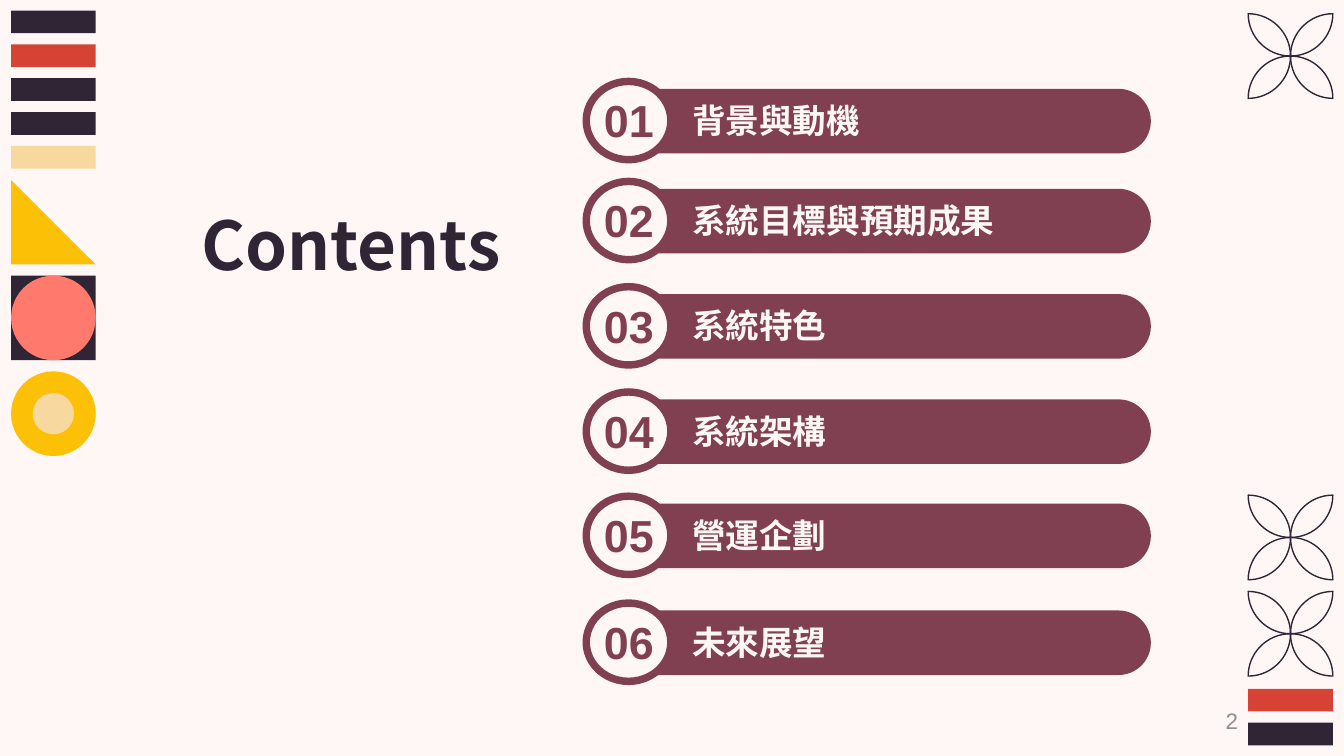
"""Build a contents slide with six numbered entries and geometric side ornaments."""
from lxml.etree import SubElement
from pptx import Presentation
from pptx.dml.color import RGBColor
from pptx.enum.shapes import MSO_SHAPE as SHAPE
from pptx.enum.text import MSO_ANCHOR as ANCHOR, PP_ALIGN as ALIGN
from pptx.oxml.ns import qn
from pptx.util import Cm, Pt

CREAM, INK, RED, SAND = "FFF7F6", "2F2534", "D64334", "F7D89E"
YELLOW, CORAL, WINE, GREY = "FCC107", "FF7A6D", "813F52", "8F8E90"
SANS, CJK = "Arial", "Noto Sans CJK SC"
LEFT, RIGHT, TILE, BAR, PITCH = 0.21, 23.59, 1.6, 0.43, 0.64

TITLE = {"size": Pt(36), "bold": True, "name": CJK}
NUMBER = {"size": Pt(24), "bold": True, "name": SANS}
LABEL = {"size": Pt(18), "bold": True, "name": CJK}
PAGE = {"size": Pt(12), "bold": False, "name": SANS}

PETAL_ARCS = [
    ((0.55, 0), (1, 0.45), (1, 1)),
    ((0.45, 1), (0, 0.55), (0, 0)),
]

ENTRIES = [
    ("背景與動機", 2.29),
    ("系統目標與預期成果", 4.18),
    ("系統特色", 6.17),
    ("系統架構", 8.16),
    ("營運企劃", 10.13),
    ("未來展望", 12.15),
]


def rgb(color):
    """Turn a hex string into a colour."""
    return RGBColor.from_string(color)


def add_figure(shapes, kind, box, fill, line=None, width=4):
    """Add a preset shape with a flat fill and an optional outline."""
    s = shapes.add_shape(kind, *map(Cm, box))
    s.shadow.inherit = False
    s.fill.solid()
    s.fill.fore_color.rgb = rgb(fill)
    if line:
        s.line.color.rgb = rgb(line)
        s.line.width = Pt(width)
    else:
        s.line.fill.background()
    return s


def write(tf, text, fmt, color, align=ALIGN.LEFT, anchor=ANCHOR.MIDDLE, inset=0.25):
    """Write one formatted paragraph into a text frame."""
    frame = {"word_wrap": True, "vertical_anchor": anchor,
             "margin_left": Cm(inset), "margin_right": Cm(inset)}
    for key, value in frame.items():
        setattr(tf, key, value)
    p = tf.paragraphs[0]
    p.alignment = align
    r = p.add_run()
    r.text = text
    for key, value in fmt.items():
        setattr(r.font, key, value)
    r.font.color.rgb = rgb(color)
    SubElement(r._r.get_or_add_rPr(), qn("a:ea"), typeface=fmt["name"])


def add_text(shapes, box, *args, **kwargs):
    """Add a text box holding one paragraph."""
    write(shapes.add_textbox(*map(Cm, box)).text_frame, *args, **kwargs)


def add_bars(shapes, left, top, colors):
    """Stack flat bars at an even pitch."""
    for i, color in enumerate(colors):
        add_figure(shapes, SHAPE.RECTANGLE, (left, top + i * PITCH, TILE, BAR), color)


def add_petal(shapes, cx, cy, dx, dy, side):
    """Draw an outlined petal from a centre towards one corner."""
    builder = shapes.build_freeform(Cm(cx), Cm(cy))
    builder.add_line_segments([(Cm(cx + dx * side), Cm(cy + dy * side)),
                               (Cm(cx), Cm(cy))])
    s = builder.convert_to_shape()
    s.shadow.inherit = False
    s.fill.background()
    s.line.color.rgb = rgb(INK)
    s.line.width = Pt(0.75)
    for segment, arc in zip(list(s._element.iter(qn("a:lnTo"))), PETAL_ARCS):
        curve = SubElement(segment.getparent(), qn("a:cubicBezTo"))
        segment.getparent().replace(segment, curve)
        for x, y in arc:
            px, py = (v if d > 0 else 1 - v for v, d in ((x, dx), (y, dy)))
            SubElement(curve, qn("a:pt"), x=str(Cm(px * side)), y=str(Cm(py * side)))


def add_blossom(shapes, cx, cy):
    """Draw four petals around a centre."""
    group = shapes.add_group_shape().shapes
    for dx, dy in ((1, 1), (1, -1), (-1, -1), (-1, 1)):
        add_petal(group, cx, cy, dx, dy, TILE / 2)


def add_entry(shapes, number, label, cy):
    """Add a numbered circle with a labelled bar, centred on a height."""
    group = shapes.add_group_shape().shapes
    thick, length, cx = 1.22, 9.86, 16.82
    bar = add_figure(group, SHAPE.ROUND_2_SAME_RECTANGLE,
                     (cx - thick / 2, cy - length / 2, thick, length), WINE)
    bar.adjustments[0] = 0.5
    bar.rotation = 90
    add_figure(group, SHAPE.OVAL, (11.08, cy - 0.75, TILE, 1.48), CREAM, WINE)
    top, height = cy - 0.53, 1.02
    add_text(group, (11.15, top, 1.47, height), f"{number:02}", NUMBER, WINE,
             ALIGN.CENTER, inset=0)
    add_text(group, (12.83, top, 7.3, height), label, LABEL, CREAM)


def add_ornaments(shapes):
    """Decorate the left and right edges."""
    add_bars(shapes, LEFT, 0.2, (INK, RED, INK, INK, SAND))
    tiles = ((SHAPE.RIGHT_TRIANGLE, 3.4, YELLOW), (SHAPE.RECTANGLE, 5.21, INK),
             (SHAPE.OVAL, 5.21, CORAL), (SHAPE.OVAL, 7.02, YELLOW))
    for kind, top, color in tiles:
        add_figure(shapes, kind, (LEFT, top, TILE, TILE), color)
    add_figure(shapes, SHAPE.OVAL, (0.62, 7.43, 0.78, 0.78), SAND)
    for cy in (1.06, 10.16, 11.98):
        add_blossom(shapes, RIGHT + TILE / 2, cy)
    add_bars(shapes, RIGHT, 13.02, (RED, INK))


def add_title(slide):
    """Place and format the title placeholder."""
    s = slide.shapes.title
    s.left, s.top, s.width, s.height = map(Cm, (3.06, 3.59, 7.14, 2.03))
    s.text_frame.margin_top = s.text_frame.margin_bottom = Cm(0.25)
    write(s.text_frame, "Contents", TITLE, INK, ALIGN.CENTER, ANCHOR.TOP)


def main():
    """Build the slide and save it."""
    prs = Presentation()
    prs.slide_width, prs.slide_height = Cm(25.4), Cm(14.29)
    slide = prs.slides.add_slide(prs.slide_layouts[5])
    slide.background.fill.solid()
    slide.background.fill.fore_color.rgb = rgb(CREAM)
    add_ornaments(slide.shapes)
    add_title(slide)
    for number, (label, cy) in enumerate(ENTRIES, 1):
        add_entry(slide.shapes, number, label, cy)
    add_text(slide.shapes, (17.93, 13.25, 5.72, 0.76), "2", PAGE, GREY, ALIGN.RIGHT)
    prs.save("out.pptx")


if __name__ == "__main__":
    main()
